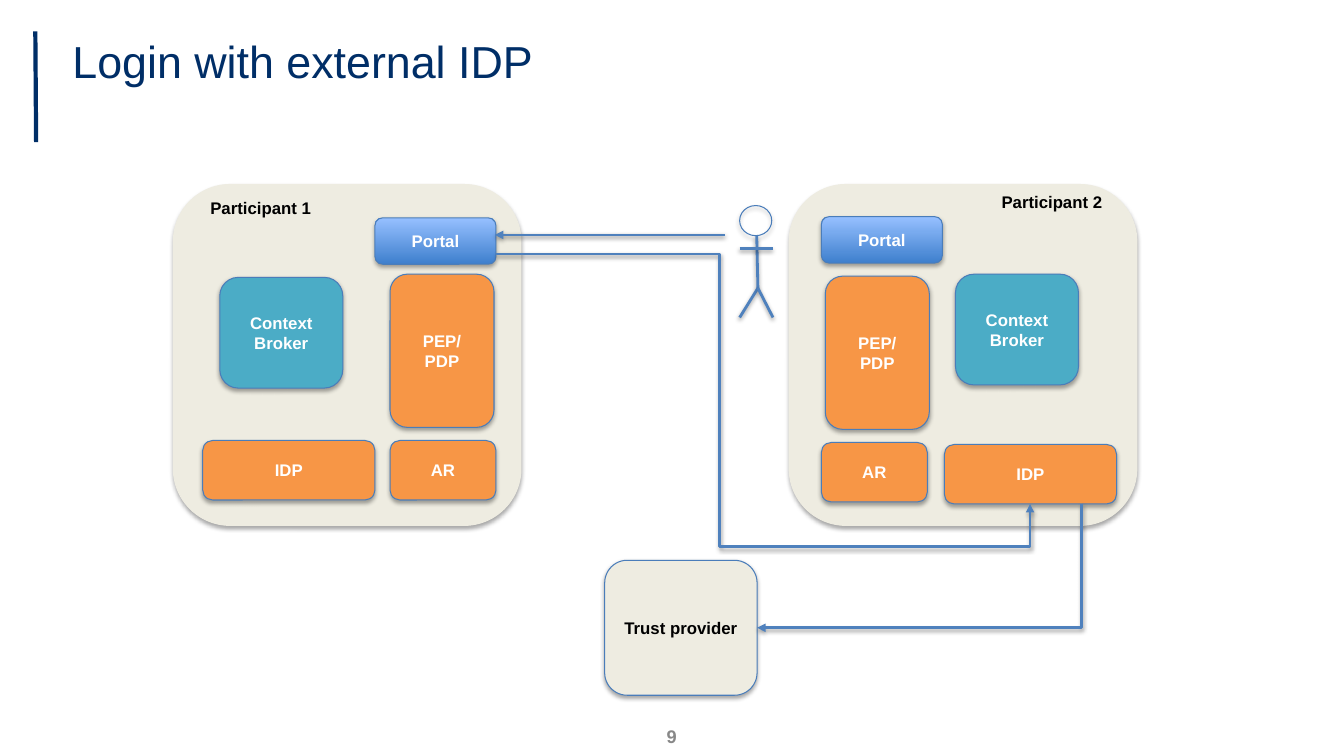
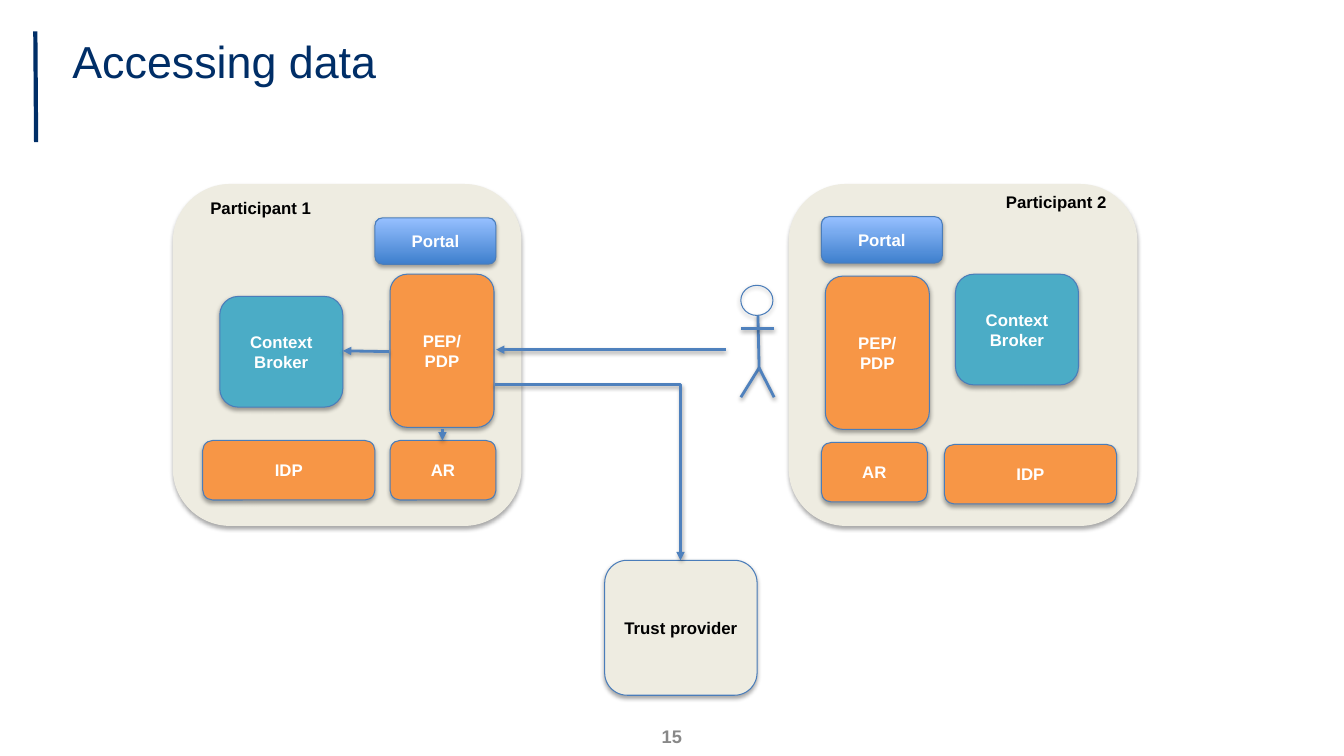
"""Build two diagrams of participants, a user and a trust provider."""
from lxml import etree
from pptx import Presentation
from pptx.dml.color import RGBColor
from pptx.enum.shapes import MSO_CONNECTOR, MSO_SHAPE
from pptx.enum.text import MSO_ANCHOR, PP_ALIGN
from pptx.oxml.ns import qn
from pptx.util import Cm, Pt

ROUND, OVAL = MSO_SHAPE.ROUNDED_RECTANGLE, MSO_SHAPE.OVAL
STRAIGHT = MSO_CONNECTOR.STRAIGHT
LEFT, CENTER = PP_ALIGN.LEFT, PP_ALIGN.CENTER
TOP, MIDDLE = MSO_ANCHOR.TOP, MSO_ANCHOR.MIDDLE

FONT = "Arial"
NAVY, GRAY, BLACK, WHITE = "002E67", "888888", "000000", "FFFFFF"
SAND, TEAL, ORANGE = "EEECE1", "4BACC6", "F79646"
EDGE, WIRE = "4A7DBA", "4F81BD"
SHADE = ("3E7FCD", "96C0FF")

BAR = [(0.91, 3.58), (0.89, 0.79)]
TITLE = (1.57, 0.71, 30.96, 2.79)
PAGE = (15.01, 18.03, 3.84, 1.02)
PANEL_TOP, PANEL_SIZE = 4.65, (8.76, 8.59)
NAME_SIZE = (3.15, 0.76)
TRUST = (15.24, 14.12, 3.84, 3.4)

KINDS = {
    "Context\nBroker": (TEAL, 3.1, 2.79),
    "IDP": (ORANGE, 4.34, 1.5),
    "AR": (ORANGE, 2.67, 1.5),
    "PEP/\nPDP": (ORANGE, 2.62, 3.86),
    "Portal": (SHADE, 3.05, 1.17),
}
SIDES = [
    ("Participant 1", 4.37, {
        "IDP": (5.11, 11.1), "AR": (9.83, 11.1),
        "PEP/\nPDP": (9.83, 6.91), "Portal": (9.45, 5.49)}),
    ("Participant 2", 19.89, {
        "IDP": (23.8, 11.2), "AR": (20.7, 11.15),
        "PEP/\nPDP": (20.8, 6.96), "Portal": (20.7, 5.46)}),
]
HEAD = (0.81, 0.76)
LIMBS = [
    [(0.43, 0.76), (0.46, 2.08)],
    [(0, 1.09), (0.84, 1.09)],
    [(0.46, 2.08), (0, 2.82)],
    [(0.46, 2.08), (0.84, 2.82)],
]
SLIDES = [
    {"title": "Login with external IDP", "page": "9",
     "names": [(5.05, 4.85), (24.99, 4.7)],
     "brokers": [(5.54, 6.99), (24.08, 6.91)],
     "user": (18.64, 5.18),
     "routes": [
         [(18.26, 5.92), (12.47, 5.92)],
         [(12.5, 6.4), (18.14, 6.4), (18.14, 13.77), (25.96, 13.77),
          (25.96, 12.7)],
         [(27.25, 12.7), (27.25, 15.82), (19.08, 15.82)]]},
    {"title": "Accessing data", "page": "15",
     "names": [(5.05, 4.85), (25.1, 4.7)],
     "brokers": [(5.54, 7.47), (24.08, 6.91)],
     "user": (18.67, 7.19),
     "routes": [
         [(18.29, 8.81), (12.5, 8.81)],
         [(9.8, 8.86), (8.64, 8.84)],
         [(11.15, 10.82), (11.15, 11.1)],
         [(12.47, 9.7), (17.15, 9.7), (17.15, 14.12)]]},
]


def rgb(code):
    """Turn a hex string into a colour."""
    return RGBColor.from_string(code)


def cms(vals):
    """Turn numbers into lengths."""
    return [Cm(val) for val in vals]


def shadow(shape, dist=23000, alpha=35000):
    """Give a shape a soft shadow straight below it."""
    props = shape._element.spPr
    for old in props.findall(qn("a:effectLst")):
        props.remove(old)
    list_ = etree.SubElement(props, qn("a:effectLst"))
    outer = etree.SubElement(list_, qn("a:outerShdw"), blurRad="40000",
                             dist=str(dist), dir="5400000", rotWithShape="0")
    tone = etree.SubElement(outer, qn("a:srgbClr"), val=BLACK)
    etree.SubElement(tone, qn("a:alpha"), val=str(alpha))


def write(shape, text, size, color, bold=True, align=CENTER, anchor=MIDDLE):
    """Set the text of a shape and format it."""
    frame = shape.text_frame
    frame.word_wrap = True
    frame.vertical_anchor = anchor
    par = frame.paragraphs[0]
    par.text = text
    par.alignment = align
    for run in par.runs:
        font = run.font
        font.name, font.size, font.bold = FONT, Pt(size), bold
        font.color.rgb = rgb(color)


def label(slide, place, *args, **style):
    """Add a text box."""
    write(slide.shapes.add_textbox(*cms(place)), *args, **style)


def box(shapes, place, fill, edge=EDGE, text="", color=WHITE, kind=ROUND):
    """Add a filled shape with a shadow and optional text."""
    shape = shapes.add_shape(kind, *cms(place))
    if fill is None:
        shape.fill.background()
    elif isinstance(fill, tuple):
        shape.fill.gradient()
        shape.fill.gradient_angle = 90
        for stop, pos, code in zip(shape.fill.gradient_stops, (0, 1), fill):
            stop.position = pos
            stop.color.rgb = rgb(code)
    else:
        shape.fill.solid()
        shape.fill.fore_color.rgb = rgb(fill)
    shape.line.color.rgb = rgb(edge)
    shape.line.width = Pt(0.75)
    shadow(shape)
    if text:
        write(shape, text, 12, color)


def wire(shapes, points, arrow=False, color=WIRE, width=2, shade=True):
    """Draw a straight line or a bent route through the points."""
    first, *rest = [cms(point) for point in points]
    if len(rest) == 1:
        line = shapes.add_connector(STRAIGHT, *first, *rest[0])
    else:
        path = shapes.build_freeform(*first)
        path.add_line_segments(rest, close=False)
        line = path.convert_to_shape()
        line.fill.background()
    line.line.color.rgb = rgb(color)
    line.line.width = Pt(width)
    if arrow:
        etree.SubElement(line.line._get_or_add_ln(), qn("a:tailEnd"),
                         type="triangle")
    if shade:
        shadow(line, 20000, 38000)
    else:
        etree.SubElement(line._element.spPr, qn("a:effectLst"))


def base(deck, data):
    """Add a slide with its bar, title and page number."""
    slide = deck.slides.add_slide(deck.slide_layouts[5])
    wire(slide.shapes, BAR, color=NAVY, width=3, shade=False)
    title = slide.shapes.title
    title.left, title.top, title.width, title.height = cms(TITLE)
    write(title, data["title"], 32, NAVY, bold=False, align=LEFT, anchor=TOP)
    label(slide, PAGE, data["page"], 13, GRAY)
    return slide


def person(slide, left, top):
    """Draw the user as a grouped stick figure."""
    parts = slide.shapes.add_group_shape().shapes
    box(parts, (left, top, *HEAD), None, kind=OVAL)
    for limb in LIMBS:
        wire(parts, [(left + x, top + y) for x, y in limb])


def scene(slide, data):
    """Draw both participants, the trust provider, the user and the routes."""
    shapes = slide.shapes
    for side, spot, broker in zip(SIDES, data["names"], data["brokers"]):
        name, left, parts = side
        box(shapes, (left, PANEL_TOP, *PANEL_SIZE), SAND, SAND)
        label(slide, (*spot, *NAME_SIZE), name, 12, BLACK,
              align=LEFT, anchor=TOP)
        for text, place in {"Context\nBroker": broker, **parts}.items():
            fill, *size = KINDS[text]
            box(shapes, (*place, *size), fill, text=text)
    box(shapes, TRUST, SAND, text="Trust provider", color=BLACK)
    person(slide, *data["user"])
    for route in data["routes"]:
        wire(shapes, route, arrow=True)


deck = Presentation()
deck.slide_width, deck.slide_height = cms((33.87, 19.05))
for data in SLIDES:
    scene(base(deck, data), data)
deck.save("out.pptx")
